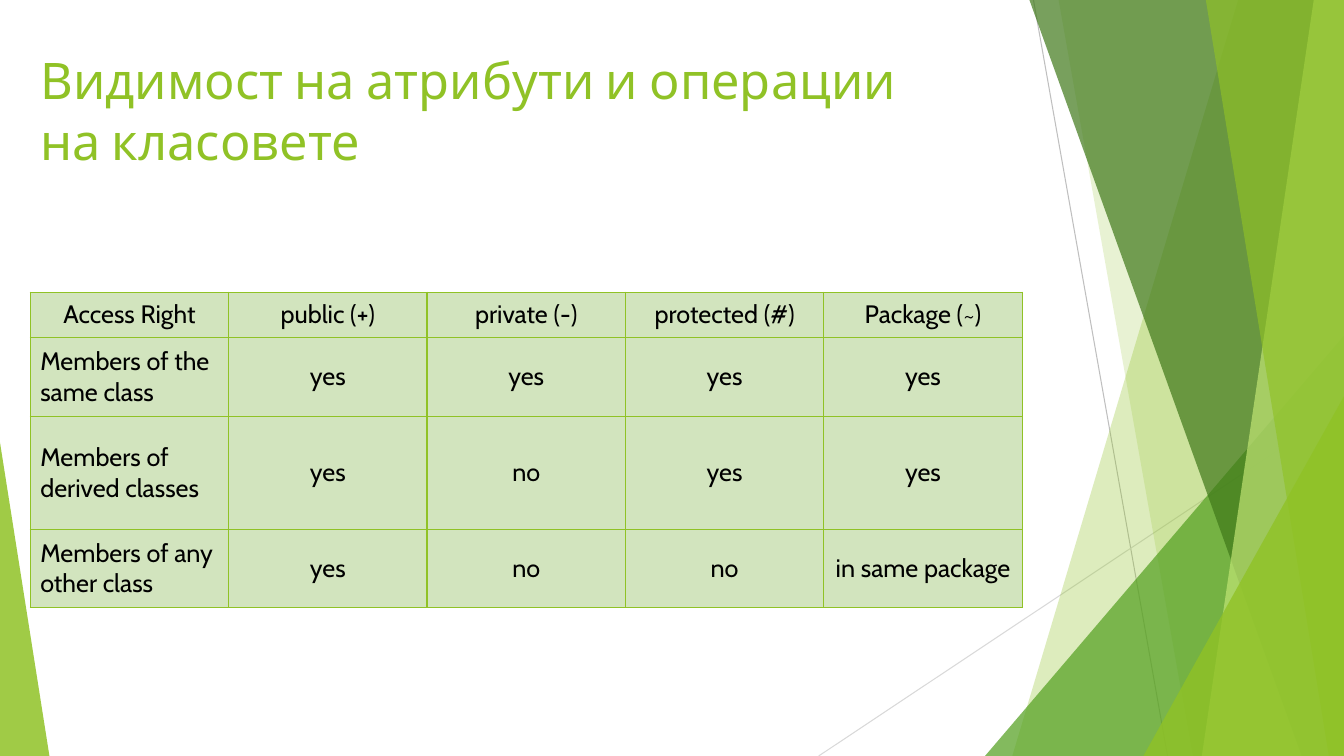
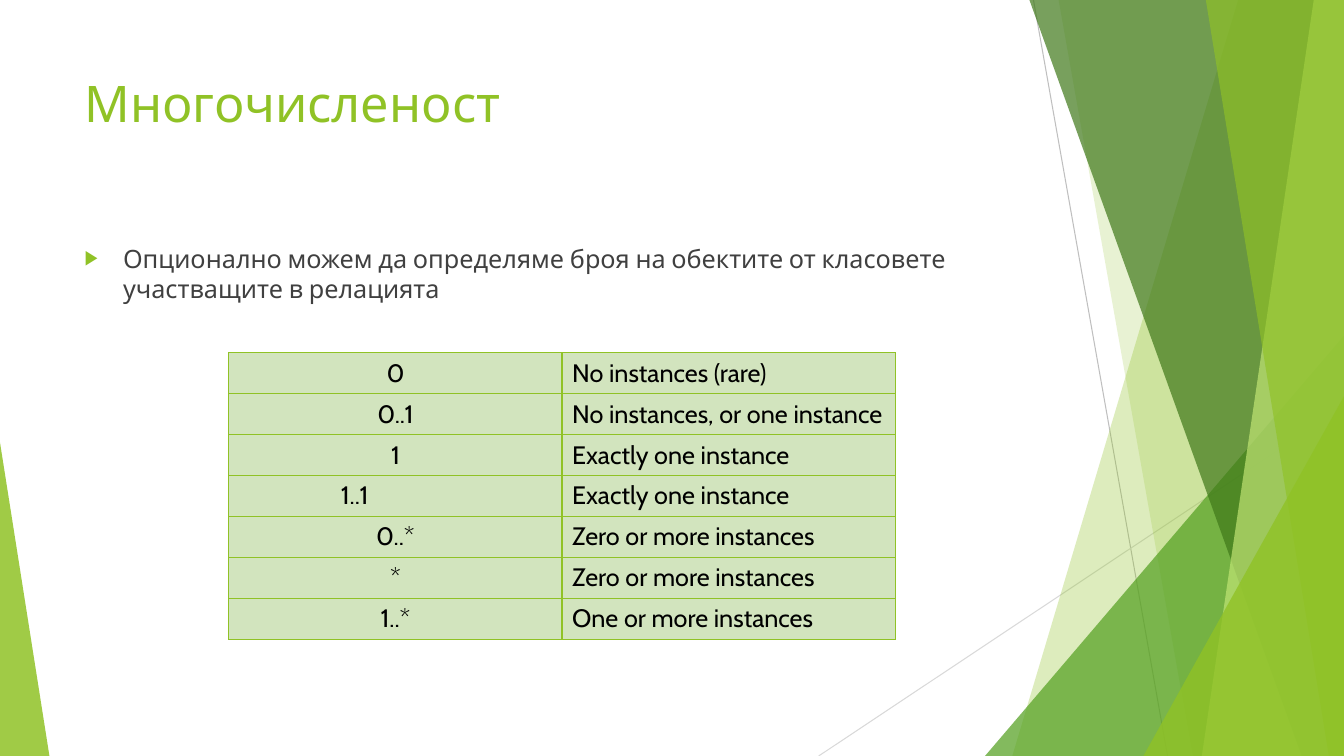
import pptx
import pptx.util
import pptx.dml.color
import pptx.enum.shapes
import pptx.enum.text
import pptx.oxml.ns
from lxml import etree

Inches = pptx.util.Inches
Pt = pptx.util.Pt
qn = pptx.oxml.ns.qn
ALIGN = pptx.enum.text.PP_ALIGN
ANCHOR = pptx.enum.text.MSO_ANCHOR

# Shared style
FONT = "Cabin"
COLORS = {
    "lime": "90C226", "green": "54A021", "forest": "3F7819", "pale": "C0E474",
    "cell": "D2E4BE", "text": "404040", "black": "000000",
    "line_dark": "BFBFBF", "line_light": "D9D9D9",
}
WIDTH, HEIGHT = 13.33, 7.5

# Background: lines (start, end, color), bands (top x, bottom x, color, opacity)
# and triangles (left, top, width, peak position, color, opacity), back to front
LINES = [
    ((10.25, 0), (11.58, HEIGHT), "line_dark"),
    ((WIDTH, 4.03), (8.12, HEIGHT), "line_light"),
]
FACETS = [
    ("band", (12.28, 10.04), "lime", 30),
    ("band", (10.5, 11.83), "lime", 20),
    ("triangle", (9.77, 3.33, 3.56, 1), "green", 72),
    ("band", (10.21, 12.91), "forest", 70),
    ("band", (13.03, 11.92), "pale", 70),
    ("band", (11.96, 13.18), "lime", 65),
    ("triangle", (11.34, 3.93, 1.99, 1), "lime", 80),
    ("triangle", (0, 4.39, 0.49, 0), "lime", 85),
]

# Slide content
VISIBILITY_TITLE = "Видимост на атрибути и операции на класовете"
VISIBILITY_ROWS = [
    ("Access Right", "public (+)", "private (-)", "protected (#)", "Package (~)"),
    ("Members of the same class", "yes", "yes", "yes", "yes"),
    ("Members of derived classes", "yes", "no", "yes", "yes"),
    ("Members of any other class", "yes", "no", "no", "in same package"),
]
VISIBILITY_HEIGHTS = [0.45, 0.78, 1.12, 0.78]

MULTIPLICITY_TITLE = "Многочисленост"
MULTIPLICITY_TEXT = ("Опционално можем да определяме броя на обектите "
                     "от класовете участващите в релацията")
MULTIPLICITY_ROWS = [
    ("0", "No instances (rare)"),
    ("0..1", "No instances, or one instance"),
    ("1", "Exactly one instance"),
    ("1..1", "Exactly one instance"),
    ("0..*", "Zero or more instances"),
    ("*", "Zero or more instances"),
    ("1..*", "One or more instances"),
]
MULTIPLICITY_HEIGHTS = [0.406] * len(MULTIPLICITY_ROWS)


def rgb(name):
    return pptx.dml.color.RGBColor.from_string(COLORS[name])


def set_text(text_frame, text, size, color, align=ALIGN.LEFT):
    text_frame.text = text
    paragraph = text_frame.paragraphs[0]
    paragraph.alignment = align
    for run in paragraph.runs:
        run.font.name = FONT
        run.font.size = Pt(size)
        run.font.bold = False
        run.font.color.rgb = rgb(color)
    return paragraph


def place(shape, left, top, width, height):
    shape.left, shape.top = Inches(left), Inches(top)
    shape.width, shape.height = Inches(width), Inches(height)
    shape.text_frame.word_wrap = True
    shape.text_frame.auto_size = pptx.enum.text.MSO_AUTO_SIZE.NONE
    shape.text_frame.vertical_anchor = ANCHOR.TOP


# Background parts
def add_line(slide, start, end, color):
    line = slide.shapes.add_connector(
        pptx.enum.shapes.MSO_CONNECTOR.STRAIGHT,
        *[Inches(value) for value in start + end])
    line.line.color.rgb = rgb(color)
    line.line.width = Pt(0.75)
    etree.SubElement(line.element.spPr, qn("a:effectLst"))
    return line


def add_facet(slide, kind, geometry, color, opacity):
    if kind == "band":
        top_x, bottom_x = geometry
        builder = slide.shapes.build_freeform(Inches(top_x), 0)
        corners = [(WIDTH, 0), (WIDTH, HEIGHT), (bottom_x, HEIGHT)]
        builder.add_line_segments([(Inches(x), Inches(y)) for x, y in corners])
        facet = builder.convert_to_shape()
    else:
        left, top, width, peak = geometry
        facet = slide.shapes.add_shape(
            pptx.enum.shapes.MSO_SHAPE.ISOSCELES_TRIANGLE,
            Inches(left), Inches(top), Inches(width), Inches(HEIGHT - top))
        facet.adjustments[0] = peak
    facet.shadow.inherit = False
    facet.line.fill.background()
    facet.fill.solid()
    facet.fill.fore_color.rgb = rgb(color)
    color_element = facet.element.spPr.find(".//" + qn("a:srgbClr"))
    etree.SubElement(color_element, qn("a:alpha"), val=str(opacity * 1000))
    return facet


def build_background(master, slide):
    """Draw the parts on a slide, then move them behind the master placeholders."""
    parts = [add_line(slide, *line) for line in LINES]
    parts += [add_facet(slide, *facet) for facet in FACETS]
    for index, part in enumerate(parts):
        part.element.find(".//" + qn("p:cNvPr")).set("id", str(100 + index))
        master.shapes.element.insert(2 + index, part.element)


# Slide parts
def add_title(slide, text, left, top):
    place(slide.shapes.title, left, top, 9.4, 1.44)
    set_text(slide.shapes.title.text_frame, text, 36, "lime")


def add_bullet(shape, text):
    paragraph = set_text(shape.text_frame, text, 18, "text")
    paragraph.space_before = Pt(10)
    properties = paragraph.runs[0].font and paragraph._p.get_or_add_pPr()
    properties.set("marL", str(Inches(0.38)))
    properties.set("indent", str(-Inches(0.38)))
    bullet_color = etree.SubElement(properties, qn("a:buClr"))
    etree.SubElement(bullet_color, qn("a:srgbClr"), val=COLORS["lime"])
    etree.SubElement(properties, qn("a:buSzPct"), val="80000")
    etree.SubElement(properties, qn("a:buChar"), char="▶")


def add_borders(cell):
    properties = cell._tc.get_or_add_tcPr()
    for index, side in enumerate(("lnL", "lnR", "lnT", "lnB")):
        border = etree.Element(qn("a:" + side), w=str(Pt(1)))
        fill = etree.SubElement(border, qn("a:solidFill"))
        etree.SubElement(fill, qn("a:srgbClr"), val=COLORS["lime"])
        properties.insert(index, border)


def add_grid(slide, rows, heights, left, top, width, is_centered):
    table = slide.shapes.add_table(
        len(rows), len(rows[0]), Inches(left), Inches(top),
        Inches(width), Inches(sum(heights))).table
    table.first_row = table.horz_banding = False
    for row, height in zip(table.rows, heights):
        row.height = Inches(height)
    for row_index, values in enumerate(rows):
        for column_index, value in enumerate(values):
            cell = table.cell(row_index, column_index)
            centered = is_centered(row_index, column_index)
            set_text(cell.text_frame, value, 18, "black",
                     ALIGN.CENTER if centered else ALIGN.LEFT)
            cell.vertical_anchor = ANCHOR.MIDDLE
            cell.fill.solid()
            cell.fill.fore_color.rgb = rgb("cell")
            add_borders(cell)
    return table


presentation = pptx.Presentation()
presentation.slide_width = Inches(WIDTH)
presentation.slide_height = Inches(HEIGHT)
layouts = presentation.slide_layouts

# Slide 1: visibility
visibility = presentation.slides.add_slide(layouts.get_by_name("Title Only"))
build_background(presentation.slide_master, visibility)
add_title(visibility, VISIBILITY_TITLE, 0.3, 0.44)
add_grid(visibility, VISIBILITY_ROWS, VISIBILITY_HEIGHTS, 0.3, 2.9, 9.84,
         lambda row, column: row == 0 or column > 0)

# Slide 2: multiplicity
multiplicity = presentation.slides.add_slide(layouts.get_by_name("Title and Content"))
add_title(multiplicity, MULTIPLICITY_TITLE, 0.74, 0.67)
body = multiplicity.placeholders[1]
place(body, 0.74, 2.36, 9.4, 4.24)
add_bullet(body, MULTIPLICITY_TEXT)
multiplicity_table = add_grid(
    multiplicity, MULTIPLICITY_ROWS, MULTIPLICITY_HEIGHTS, 2.27, 3.5, 6.61,
    lambda row, column: column == 0 and row != 3)
multiplicity_table.cell(3, 0).margin_left = Inches(1.11)

presentation.save("out.pptx")
